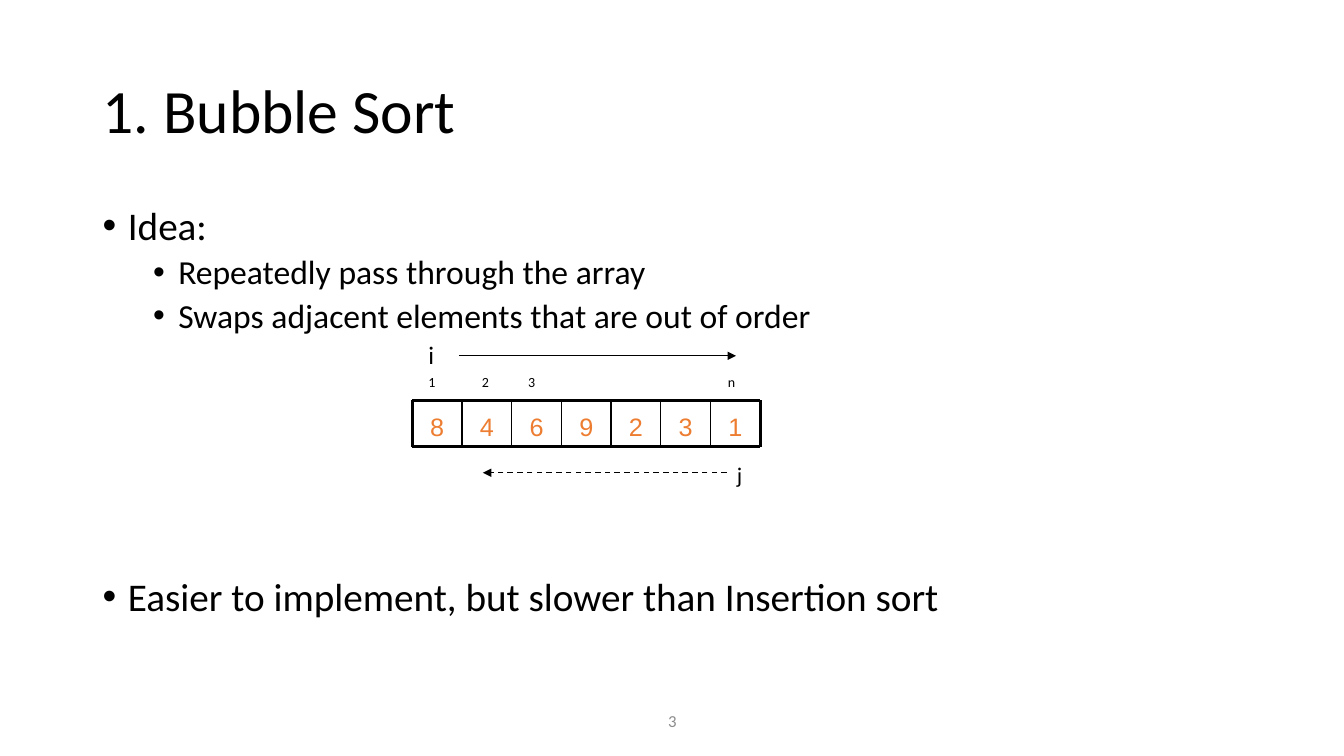
from pptx import Presentation
from pptx import util as u
from pptx.dml.color import RGBColor
from pptx.enum import dml, shapes, text
from pptx.oxml.ns import qn
from lxml import etree

# Content
TITLE = "1. Bubble Sort"
BULLETS = [  # text, level, space before in points
    ("Idea:", 0, 10),
    ("Repeatedly pass through the array", 1, 5),
    ("Swaps adjacent elements that are out of order", 1, 5),
    ("Easier to implement, but slower than Insertion sort", 0, 173),
]
LEVELS = [(28, 0.25), (24, 0.75)]  # text size, left margin in inches
VALUES = [8, 4, 6, 9, 2, 3, 1]
INDEXES = [("1", 4.15), ("2", 4.68), ("3", 5.14), ("n", 7.12)]
PAGE_NUMBER = "3"
COLORS = {"ink": "000000", "value": "ED7D31", "number": "8C8C8C"}

# Array geometry in inches
ARRAY_LEFT, ARRAY_RIGHT, ARRAY_TOP, ARRAY_BOTTOM = 4.09, 7.54, 3.97, 4.43
CELL = (ARRAY_RIGHT - ARRAY_LEFT) / len(VALUES)

deck = Presentation()
deck.slide_width, deck.slide_height = u.Inches(13.33), u.Inches(7.5)
page = deck.slides.add_slide(deck.slide_layouts[6])


def style(para, size, color="ink", font="Calibri"):
    para.font.size = u.Pt(size)
    para.font.name = font
    para.font.color.rgb = RGBColor.from_string(COLORS[color])


def add_text(words, left, top, width, height, size, color="ink", font="Calibri",
             anchor=text.MSO_ANCHOR.TOP, align=text.PP_ALIGN.LEFT, wrap=True):
    box = page.shapes.add_textbox(*map(u.Inches, (left, top, width, height)))
    frame = box.text_frame
    frame.word_wrap = wrap
    frame.vertical_anchor = anchor
    para = frame.paragraphs[0]
    para.text = words
    para.alignment = align
    style(para, size, color, font)
    return frame


def add_line(x1, y1, x2, y2, width, arrow=False, dashed=False):
    line = page.shapes.add_connector(
        shapes.MSO_CONNECTOR.STRAIGHT, *map(u.Inches, (x1, y1, x2, y2)))
    line.line.width = u.Pt(width)
    line.line.color.rgb = RGBColor.from_string(COLORS["ink"])
    if dashed:
        line.line.dash_style = dml.MSO_LINE.DASH
    properties = line._element.spPr
    if arrow:
        etree.SubElement(properties.find(qn("a:ln")), qn("a:tailEnd"), type="triangle")
    etree.SubElement(properties, qn("a:effectLst"))


def add_bullet(para, margin):
    properties = para._p.get_or_add_pPr()
    properties.set("marL", str(u.Inches(margin)))
    properties.set("indent", str(-u.Inches(0.25)))
    etree.SubElement(properties, qn("a:buFont"), typeface="Arial")
    etree.SubElement(properties, qn("a:buChar"), char="•")


# Page number and title
add_text(PAGE_NUMBER, 4.42, 6.95, 4.5, 0.4, 12, "number",
         anchor=text.MSO_ANCHOR.MIDDLE, align=text.PP_ALIGN.CENTER)
title = add_text(TITLE, 0.92, 0.4, 11.5, 1.45, 44, anchor=text.MSO_ANCHOR.MIDDLE)
title.paragraphs[0].line_spacing = 0.9

# Bullets, with room for the array above the last one
body = add_text("", 0.92, 2, 11.5, 4.76, 28)
for number, (words, level, before) in enumerate(BULLETS):
    para = body.add_paragraph() if number else body.paragraphs[0]
    size, margin = LEVELS[level]
    para.text = words
    para.level = level
    para.line_spacing = 0.9
    para.space_before = u.Pt(before)
    add_bullet(para, margin)
    style(para, size)

# Index labels and the forward pass
for label, left in INDEXES:
    add_text(label, left, 3.66, 0.25, 0.27, 10)
add_text("i", 4.15, 3.32, 0.26, 0.4, 18, wrap=False)
add_line(4.55, 3.53, 7.3, 3.53, 0.75, arrow=True)

# Array values, frame and dividers
for position, value in enumerate(VALUES):
    add_text(str(value), ARRAY_LEFT + position * CELL, ARRAY_TOP, CELL,
             ARRAY_BOTTOM - ARRAY_TOP, 18, "value", "Arial",
             text.MSO_ANCHOR.BOTTOM, text.PP_ALIGN.CENTER)
for y in (ARRAY_TOP, ARRAY_BOTTOM):
    add_line(ARRAY_LEFT, y, ARRAY_RIGHT, y, 2.25)
for edge in range(len(VALUES) + 1):
    x = ARRAY_LEFT + edge * CELL
    add_line(x, ARRAY_TOP, x, ARRAY_BOTTOM, 2.25 if edge in (0, len(VALUES)) else 1)

# Backward pass
add_text("j", 7.21, 4.53, 0.26, 0.37, 16, wrap=False)
add_line(7.21, 4.69, 4.79, 4.69, 1, arrow=True, dashed=True)

deck.save("out.pptx")
